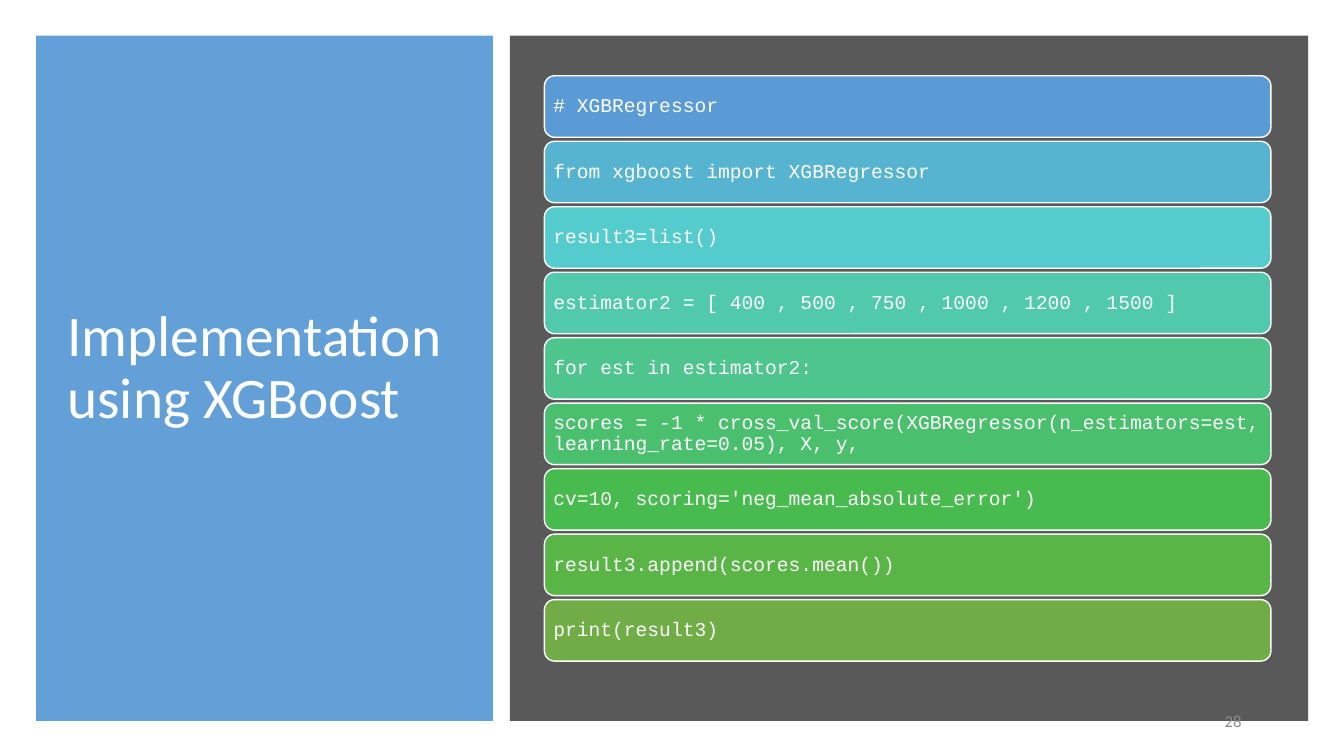
from pptx import Presentation
from pptx.dml.color import RGBColor
from pptx.enum.shapes import MSO_SHAPE as Shape
from pptx.enum.text import MSO_ANCHOR as Anchor, PP_ALIGN as Align
from pptx.oxml import parse_xml
from pptx.oxml.ns import nsdecls
from pptx.util import Cm, Pt

# Content
TITLE = "Implementation using XGBoost"
PAGE_NUMBER = "28"
CODE_STEPS = [
    ("# XGBRegressor", "5B9BD5"),
    ("from xgboost import XGBRegressor", "57B4D1"),
    ("result3=list()", "54CCCD"),
    ("estimator2 = [ 400 , 500 , 750 , 1000 , 1200 , 1500 ]", "51C9AD"),
    ("for est in estimator2:", "4DC58D"),
    ("scores = -1 * cross_val_score(XGBRegressor(n_estimators=est, "
     "learning_rate=0.05), X, y,", "4AC06E"),
    ("cv=10, scoring='neg_mean_absolute_error')", "48BB4F"),
    ("result3.append(scores.mean())", "59B546"),
    ("print(result3)", "70AD47"),
]
COLORS = {"title_panel": "5B9BD5", "code_panel": "595959",
          "white": "FFFFFF", "number": "8C8C8C"}

# Layout in centimetres
PANEL_TOP, PANEL_HEIGHT = 0.9, 17.27
STEP_LEFT, STEP_TOP, STEP_WIDTH, STEP_HEIGHT = 13.72, 1.91, 18.31, 1.55
STEP_PITCH = 1.65

deck = Presentation()
deck.slide_width, deck.slide_height = Cm(33.87), Cm(19.05)
slide = deck.slides.add_slide(deck.slide_layouts[6])


def add_block(kind, left, top, width, height, fill, outline=None):
    block = slide.shapes.add_shape(kind, Cm(left), Cm(top), Cm(width), Cm(height))
    block.shadow.inherit = False
    block.fill.solid()
    block.fill.fore_color.rgb = RGBColor.from_string(fill)
    if outline:
        block.line.color.rgb = RGBColor.from_string(outline)
        block.line.width = Pt(1)
    else:
        block.line.fill.background()
    return block


def add_box(left, top, width, height):
    return slide.shapes.add_textbox(Cm(left), Cm(top), Cm(width), Cm(height))


def write(holder, text, *, size, font="Calibri", color=COLORS["white"],
          align=Align.LEFT, spacing=1.0, inset=None):
    frame = holder.text_frame
    frame.word_wrap = True
    frame.vertical_anchor = Anchor.MIDDLE
    if inset is not None:
        frame.margin_left = frame.margin_right = Cm(inset)
        frame.margin_top = frame.margin_bottom = Cm(inset)
    line = frame.paragraphs[0]
    line.text = text
    line.alignment = align
    line.line_spacing = spacing
    line.font.name = font
    line.font.size = Pt(size)
    line.font.color.rgb = RGBColor.from_string(color)


# Title panel, slightly transparent
title_panel = add_block(Shape.RECTANGLE, 0.91, PANEL_TOP, 11.51, PANEL_HEIGHT,
                        COLORS["title_panel"])
title_panel.fill.fore_color._xFill[0].append(
    parse_xml(f'<a:alpha {nsdecls("a")} val="95000"/>'))
write(add_box(1.45, 1.63, 10.34, 15.34), TITLE, size=41, spacing=0.9)

# Code panel with one bar per step
add_block(Shape.RECTANGLE, 12.85, PANEL_TOP, 20.12, PANEL_HEIGHT, COLORS["code_panel"])
for row, (code, fill) in enumerate(CODE_STEPS):
    step = add_block(Shape.ROUNDED_RECTANGLE, STEP_LEFT, STEP_TOP + row * STEP_PITCH,
                     STEP_WIDTH, STEP_HEIGHT, fill, COLORS["white"])
    write(step, code, size=14, font="Courier New", spacing=0.9, inset=0.15)

# Page number
write(add_box(23.92, 17.66, 7.62, 1.01), PAGE_NUMBER, size=12,
      color=COLORS["number"], align=Align.RIGHT)

deck.save("out.pptx")
